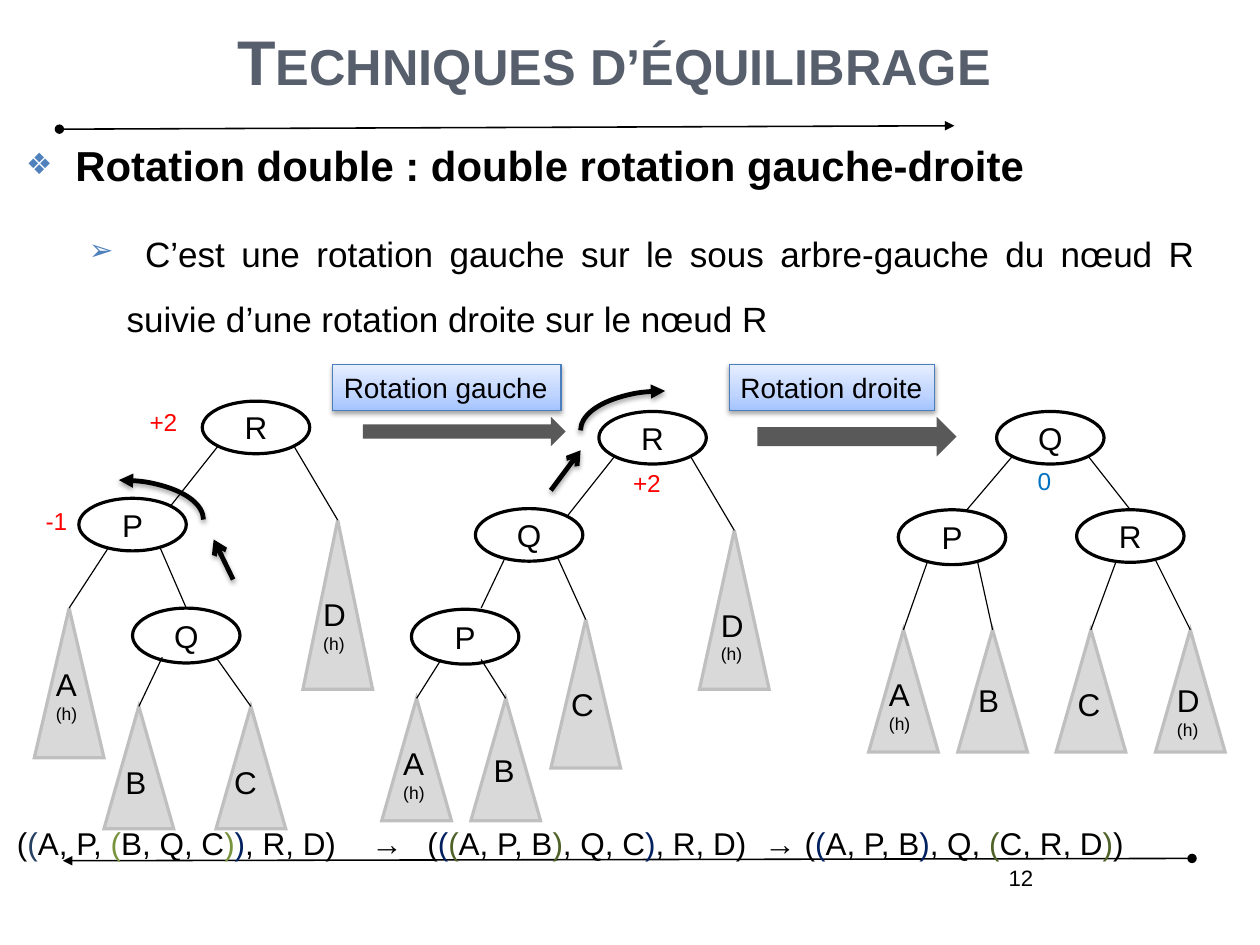
import pptx
import pptx.util
import pptx.dml.color
import pptx.enum.shapes
import pptx.enum.text
import pptx.oxml.ns
import copy
import lxml.etree
from dataclasses import dataclass

Inches = pptx.util.Inches
Pt = pptx.util.Pt
Shape = pptx.enum.shapes.MSO_SHAPE
Align = pptx.enum.text.PP_ALIGN
Anchor = pptx.enum.text.MSO_ANCHOR
qn = pptx.oxml.ns.qn


@dataclass(frozen=True)
class Theme:
    font: str = "Arial"
    ink: str = "000000"
    paper: str = "FFFFFF"
    title: str = "575F6D"
    bullet: str = "4F81BD"
    leaf: str = "D9D9D9"
    leaf_edge: str = "BFBFBF"
    arrow: str = "595959"
    step_edge: str = "4B7EBC"
    step_fill: tuple = ((0, "A4C4FF"), (0.35, "BFD4FF"), (1, "E6EEFF"))
    unbalanced: str = "FF0000"
    balanced: str = "0070C0"
    steel: str = "254061"
    navy: str = "002060"
    olive: str = "77933C"
    moss: str = "4F6228"
    title_size: float = 39.7
    heading_size: float = 26.46
    body_size: float = 22.1
    node_size: float = 19.8
    step_size: float = 17.6
    balance_size: float = 15.4
    number_size: float = 14
    height_size: float = 11


def rgb(value):
    return pptx.dml.color.RGBColor.from_string(value)


def add_xml(parent, tag, **attributes):
    return lxml.etree.SubElement(parent, qn(tag), {k: str(v) for k, v in attributes.items()})


class TreeSlide:
    def __init__(self, prs, theme):
        self.theme = theme
        self.slide = prs.slides.add_slide(prs.slide_layouts[5])
        self.canvas = self.slide.shapes

    def style(self, font, size, color=None, bold=False):
        font.name, font.size, font.bold = self.theme.font, Pt(size), bold
        font.color.rgb = rgb(color or self.theme.ink)

    def shadow(self, part):
        effects = part._element.spPr.find(qn("a:effectLst"))
        outer = add_xml(effects, "a:outerShdw", blurRad=Pt(3.1), dist=Pt(1.8),
                        dir=5400000, rotWithShape=0)
        add_xml(add_xml(outer, "a:srgbClr", val=self.theme.ink), "a:alpha", val=35000)

    def outline(self, part, color, width, head=None, tail=None):
        part.line.color.rgb, part.line.width = rgb(color), Pt(width)
        edge = part.line._get_or_add_ln()
        add_xml(edge, "a:miter", lim=800000)
        for tag, kind in (("a:headEnd", head), ("a:tailEnd", tail)):
            if kind:
                add_xml(edge, tag, type=kind)

    def title(self, text):
        title = self.slide.shapes.title
        title.left, title.top, title.width, title.height = map(Inches, (0.55, -0.9, 9.65, 1.81))
        frame = title.text_frame
        frame.text, frame.vertical_anchor = text, Anchor.BOTTOM
        frame.auto_size = pptx.enum.text.MSO_AUTO_SIZE.NONE
        line = frame.paragraphs[0]
        line.alignment, line.line_spacing = Align.CENTER, 1.5
        self.style(line.font, self.theme.title_size, self.theme.title, True)
        line._p.pPr.find(qn("a:defRPr")).set("cap", "small")

    def text(self, x, y, w, h, lines, color=None, align=Align.LEFT):
        frame = self.canvas.add_textbox(*map(Inches, (x, y, w, h))).text_frame
        frame.word_wrap = True
        for i, (text, size) in enumerate(lines):
            line = frame.add_paragraph() if i else frame.paragraphs[0]
            line.text, line.alignment = text, align
            self.style(line.font, size, color)
        return frame

    def bullets(self, x, y, w, h, items):
        frame = self.text(x, y, w, h, [("", self.theme.heading_size)] * len(items))
        for line, (mark, margin, text, size, bold) in zip(frame.paragraphs, items):
            line.alignment, line.line_spacing, line.space_before = Align.JUSTIFY, 1.5, Pt(6.6)
            for part, part_size in ((" ", self.theme.heading_size), (text, size)):
                run = line.add_run()
                run.text = part
                self.style(run.font, part_size, bold=bold)
            props = line._p.pPr
            props.set("marL", str(Inches(margin)))
            props.set("indent", str(Inches(-0.33)))
            color = lxml.etree.Element(qn("a:buClr"))
            add_xml(color, "a:srgbClr", val=self.theme.bullet)
            size_mark = lxml.etree.Element(qn("a:buSzPct"), val="70000")
            face = lxml.etree.Element(qn("a:buFont"), typeface=self.theme.font)
            glyph = lxml.etree.Element(qn("a:buChar"), char=mark)
            for element in (color, size_mark, face, glyph):
                props.find(qn("a:defRPr")).addprevious(element)

    def line(self, start, end, width=0.75, head=None, tail=None, shadow=False):
        line = self.canvas.add_connector(pptx.enum.shapes.MSO_CONNECTOR.STRAIGHT,
                                         *map(Inches, start + end))
        self.outline(line, self.theme.ink, width, head, tail)
        add_xml(line._element.spPr, "a:effectLst")
        if shadow:
            self.shadow(line)
        return line

    def shape(self, kind, x, y, w, h, fill, edge, width=2, head=None):
        part = self.canvas.add_shape(kind, *map(Inches, (x, y, w, h)))
        part.shadow.inherit = False
        if fill:
            part.fill.solid()
            part.fill.fore_color.rgb = rgb(fill)
        else:
            part.fill.background()
        self.outline(part, edge, width, head)
        return part

    def node(self, letter, x, y, h=0.46):
        node = self.shape(Shape.OVAL, x, y, 0.94, h, self.theme.paper, self.theme.ink)
        node.text_frame.text = letter
        node.text_frame.vertical_anchor = Anchor.MIDDLE
        line = node.text_frame.paragraphs[0]
        line.alignment = Align.CENTER
        self.style(line.font, self.theme.node_size)
        return node

    def leaf(self, letter, x, y, h, label_y, label_dx=0.09):
        leaf = self.shape(Shape.ISOSCELES_TRIANGLE, x, y, 0.61, h,
                          self.theme.leaf, self.theme.leaf_edge)
        lines = [(letter, self.theme.node_size)]
        if letter in "AD":
            lines.append(("(h)", self.theme.height_size))
        self.text(x + label_dx, label_y, 0.57, 0.43, lines)
        return leaf

    def tree(self, nodes, leaves, branches):
        self.canvas = self.slide.shapes.add_group_shape().shapes
        parts = {n[0]: self.node(*n) for n in nodes}
        parts.update({f[0]: self.leaf(*f) for f in leaves})
        for child, start, end in branches:
            branch = self.line(start, end or start)
            if not end:
                branch.end_connect(parts[child], 0)
        self.canvas = self.slide.shapes

    def turn(self, x, y, mirrored=False):
        arc = self.shape(Shape.ARC, x, y, 1.48, 0.69, None, self.theme.ink, 3, "triangle")
        self.shadow(arc)
        if mirrored:
            arc._element.spPr.find(qn("a:xfrm")).set("flipH", "1")

    def step(self, text, x, w):
        step = self.shape(Shape.RECTANGLE, x, 3.19, w, 0.4, self.theme.paper,
                          self.theme.step_edge, 0.75)
        step.fill.gradient()
        step.fill.gradient_angle = 90
        first = step._element.spPr.find(".//" + qn("a:gs"))
        first.addnext(copy.deepcopy(first))
        for stop, (position, color) in zip(step.fill.gradient_stops, self.theme.step_fill):
            stop.position, stop.color.rgb = position, rgb(color)
        self.shadow(step)
        step.text_frame.text, step.text_frame.word_wrap = text, False
        line = step.text_frame.paragraphs[0]
        line.alignment = Align.LEFT
        self.style(line.font, self.theme.step_size)

    def formula(self, x, y, w, h, pieces, stops):
        line = self.text(x, y, w, h, [("", self.theme.node_size)]).paragraphs[0]
        for text, color in pieces:
            run = line.add_run()
            run.text = text
            self.style(run.font, self.theme.node_size, color)
        tabs = lxml.etree.Element(qn("a:tabLst"))
        for stop in stops:
            add_xml(tabs, "a:tab", pos=Inches(stop), algn="l")
        line._p.pPr.find(qn("a:defRPr")).addprevious(tabs)


def main():
    prs = pptx.Presentation()
    prs.slide_width, prs.slide_height = Pt(793.75), Pt(595.25)
    t = Theme()
    page = TreeSlide(prs, t)

    # Frame lines, page number, title and explanation
    page.line((0.52, 1.13), (8.35, 1.1), 1, "oval", "triangle")
    page.text(6.57, 7.51, 2.57, 0.57, [("12", t.number_size)], align=Align.RIGHT)
    page.line((10.43, 7.51), (0.55, 7.53), 1, "oval", "triangle")
    page.title("Techniques d’équilibrage")
    page.bullets(0.13, 0.95, 10.42, 7.32, [
        ("❖", 0.33, "Rotation double : double rotation gauche-droite", t.heading_size, True),
        ("➢", 0.88, "C’est une rotation gauche sur le sous arbre-gauche du nœud R "
         "suivie d’une rotation droite sur le nœud R", t.body_size, False)])

    # Tree before the rotations
    page.turn(0.3, 4.2)
    page.line((2.04, 5.07), (1.87, 4.72), 3, tail="arrow", shadow=True)
    page.tree(
        [("P", 0.69, 4.36), ("Q", 1.16, 5.32, 0.48), ("R", 1.77, 3.51)],
        [("A", 0.3, 5.32, 1.31, 5.77), ("B", 0.91, 6.18, 1.07, 6.63),
         ("C", 1.89, 6.18, 1.07, 6.63, 0.06), ("D", 2.65, 4.55, 1.48, 5.16, 0.08)],
        [("A", (0.95, 4.79), None), ("B", (1.42, 5.75), None), ("Q", (1.4, 4.79), None),
         ("C", (1.89, 5.75), None), ("P", (1.91, 3.9), (1.49, 4.43)), ("D", (2.57, 3.9), None)])

    # Tree after the left rotation
    page.tree(
        [("Q", 4.16, 4.45), ("P", 3.6, 5.33, 0.48), ("R", 5.24, 3.6)],
        [("A", 3.34, 6.11, 1.07, 6.46), ("B", 4.12, 6.11, 1.07, 6.52, 0.1),
         ("C", 4.82, 5.42, 1.3, 5.94, 0.08), ("D", 6.12, 4.64, 1.39, 5.25)],
        [("A", (3.86, 5.77), None), ("P", (4.41, 4.9), (4.21, 5.32)), ("C", (4.88, 4.88), None),
         ("B", (4.21, 5.77), None), ("Q", (5.38, 3.99), (4.96, 4.52)), ("D", (6.04, 3.99), None)])

    # Tree after the right rotation
    page.tree(
        [("Q", 8.72, 3.6), ("P", 7.86, 4.46, 0.48), ("R", 9.42, 4.46)],
        [("A", 7.6, 5.51, 1.07, 5.86, 0.08), ("B", 8.38, 5.51, 1.07, 5.91, 0.08),
         ("C", 9.24, 5.51, 1.07, 5.94), ("D", 10.11, 5.51, 1.07, 5.91)],
        [("A", (8.12, 4.9), None), ("P", (8.86, 3.99), (8.46, 4.46)), ("C", (9.77, 4.9), None),
         ("B", (8.55, 4.9), None), ("R", (9.52, 3.99), None), ("D", (10.11, 4.9), None)])

    # Rotation steps
    for text, x, w, arrow in (("Rotation gauche", 2.91, 2, (3.19, 3.68, 1.74, 0.19)),
                              ("Rotation droite", 6.38, 1.8, (6.64, 3.68, 1.71, 0.28))):
        page.shape(Shape.RIGHT_ARROW, *arrow, t.arrow, t.arrow)
        page.step(text, x, w)
    page.turn(5.08, 3.42, mirrored=True)
    page.line((4.82, 4.29), (5.08, 3.94), 3, tail="arrow", shadow=True)

    # Balance factors
    for factor, x, y, color in (("-1", 0.3, 4.38, t.unbalanced), ("+2", 1.21, 3.51, t.unbalanced),
                                ("0", 8.98, 4.03, t.balanced), ("+2", 5.44, 4.05, t.unbalanced)):
        page.text(x, y, 0.59, 0.36, [(factor, t.balance_size)], color)

    # Bracket notation of the three trees
    page.formula(0.05, 7.16, 10.72, 0.43, [
        ("(", t.ink), ("(", t.steel), ("A, P, ", t.ink), ("(", t.olive), ("B, Q, C", t.ink),
        (")", t.olive), (")", t.navy), (", R, D)\t→\t(", t.ink), ("(", t.navy), ("(", t.moss),
        ("A, P, B", t.ink), (")", t.moss), (", Q, C", t.ink), (")", t.navy),
        (", R, D)\t→ (", t.ink), ("(", t.navy), ("A, P, B", t.ink), (")", t.navy),
        (", Q, ", t.ink), ("(", t.moss), ("C, R, D", t.ink), (")", t.moss), (")", t.ink)],
        (3.1, 3.59, 6.54))
    prs.save("out.pptx")


if __name__ == "__main__":
    main()
